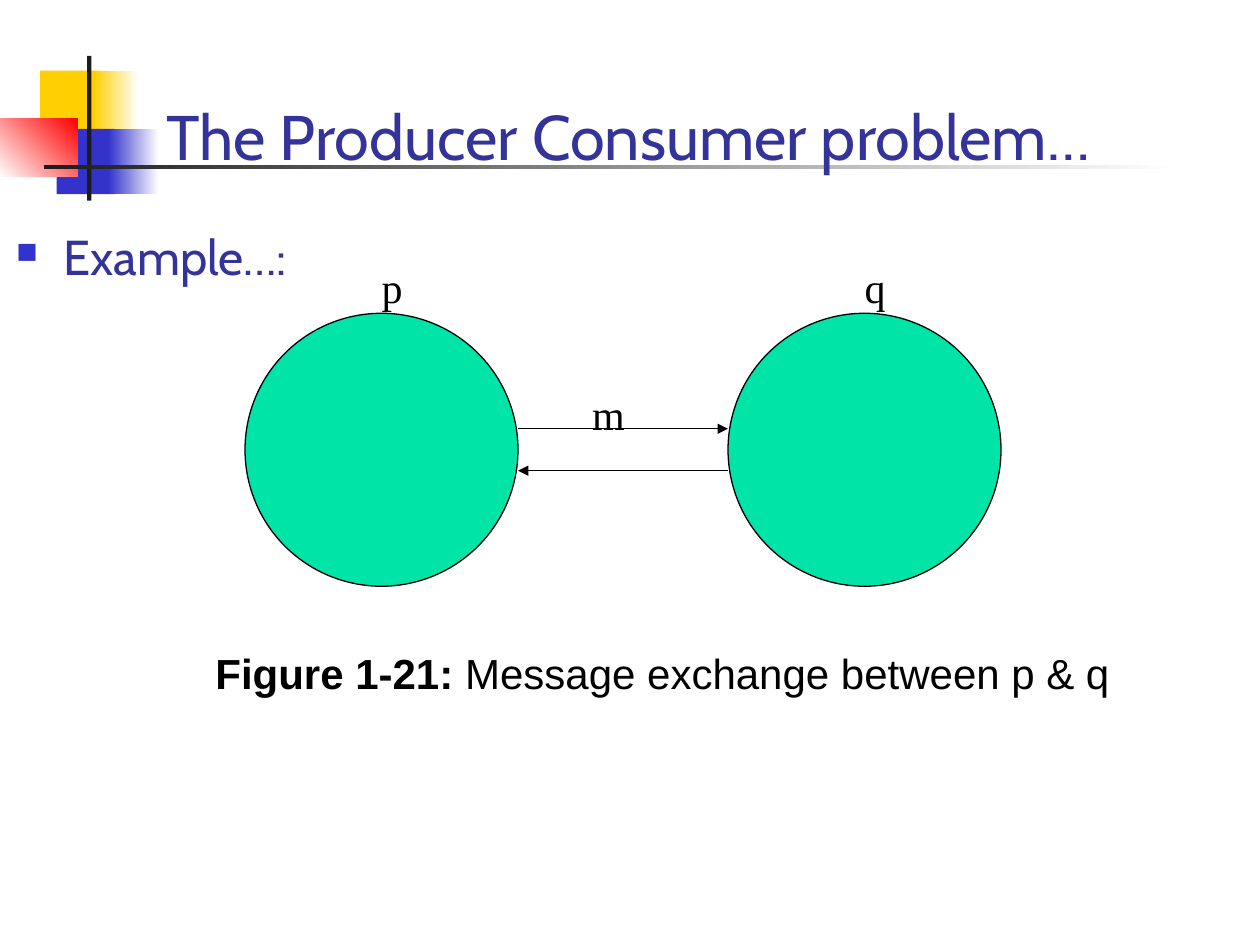
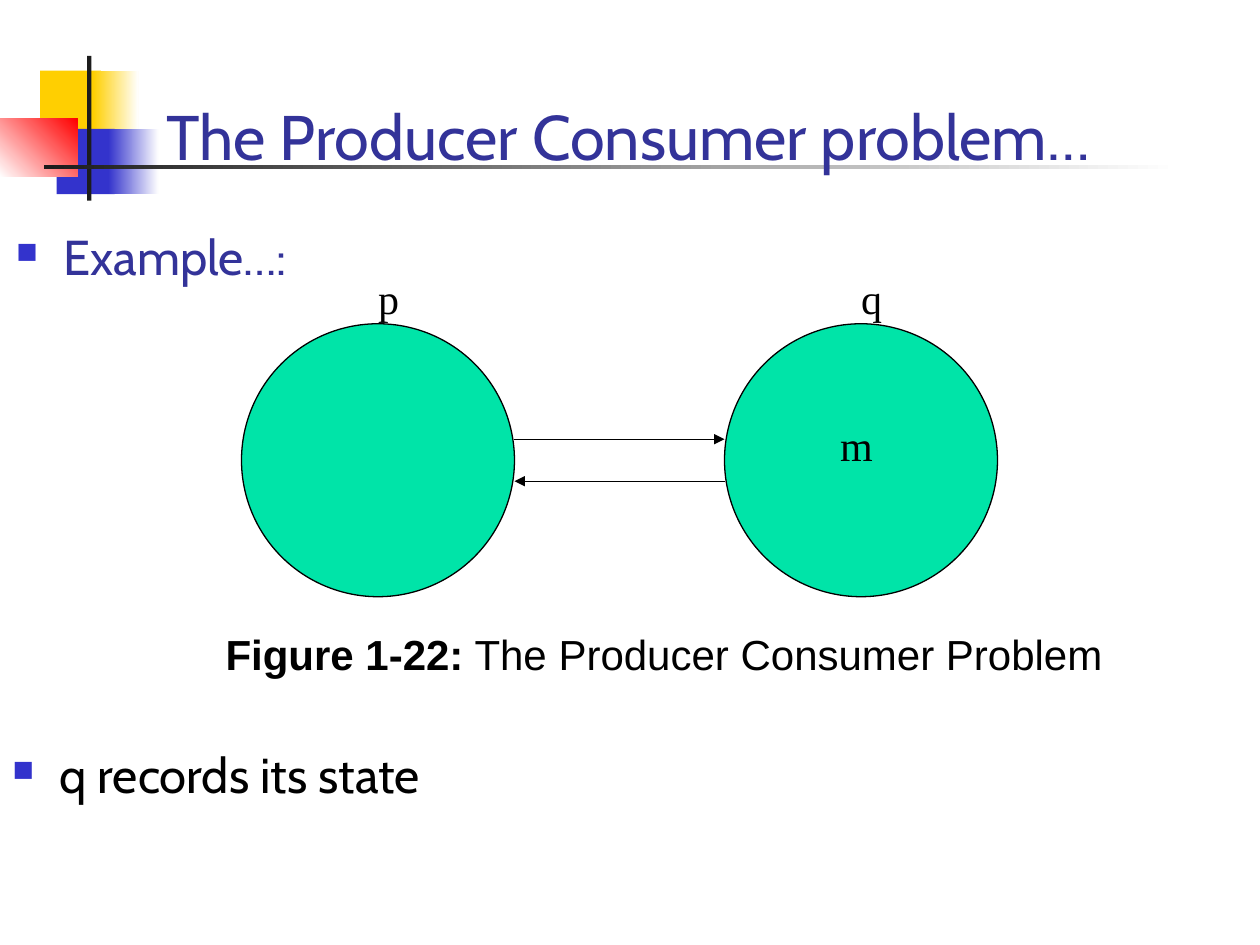
from lxml.etree import SubElement
from pptx import Presentation
from pptx.dml.color import RGBColor
from pptx.enum.shapes import MSO_CONNECTOR as Connector, MSO_SHAPE as Shape
from pptx.enum.text import MSO_ANCHOR as Anchor, MSO_AUTO_SIZE as AutoSize, PP_ALIGN as Align
from pptx.oxml.ns import qn
from pptx.util import Pt

BLACK = RGBColor(0x00, 0x00, 0x00)
WHITE = RGBColor(0xFF, 0xFF, 0xFF)
CHARCOAL = RGBColor(0x1C, 0x1C, 0x1C)
YELLOW = RGBColor(0xFF, 0xCF, 0x01)
RED = RGBColor(0xFF, 0x00, 0x00)
BLUE = RGBColor(0x33, 0x33, 0xCC)
NAVY = RGBColor(0x33, 0x33, 0x99)
GREEN = RGBColor(0x00, 0xE4, 0xA8)

HEADING_FONT, CAPTION_FONT, LABEL_FONT = "Cabin", "Arial", "Times New Roman"
DIAMETER, SPACING = 156, 276
BANDS = [
    (23, 40.4, 34.6, 37.4, (YELLOW,), 0),
    (53.3, 40.4, 25.9, 37.4, (YELLOW, WHITE), 0),
    (32.4, 73.6, 33.1, 37.4, (BLUE,), 0),
    (61.9, 73.6, 28.8, 37.4, (BLUE, WHITE), 0),
    (0, 67.8, 44.4, 33.4, (WHITE, RED), 45),
    (49.8, 31.9, 2.5, 82.8, (CHARCOAL,), 0),
    (25.2, 94.2, 648, 2.4, (CHARCOAL, WHITE), 0),
]


class Lecture:
    """Draws the lecture's pages in one shared style."""

    def __init__(self):
        self.deck = Presentation()
        self.deck.slide_width, self.deck.slide_height = Pt(720), Pt(540)
        self.page = None

    def add_page(self, title):
        self.page = self.deck.slides.add_slide(self.deck.slide_layouts[6])
        for left, top, width, height, colours, angle in BANDS:
            self.band(left, top, width, height, colours, angle)
        self.text(title, 87.8, 36, 613.4, 66.2, HEADING_FONT, 36, NAVY, anchor=Anchor.BOTTOM)

    def shape(self, kind, left, top, width, height):
        shape = self.page.shapes.add_shape(kind, Pt(left), Pt(top), Pt(width), Pt(height))
        shape.shadow.inherit = False
        return shape

    def band(self, left, top, width, height, colours, angle):
        band = self.shape(Shape.RECTANGLE, left, top, width, height)
        band.line.fill.background()
        if len(colours) == 1:
            band.fill.solid()
            band.fill.fore_color.rgb = colours[0]
            return
        band.fill.gradient()
        band.fill.gradient_angle = angle
        for stop, colour in zip(band.fill.gradient_stops, colours):
            stop.color.rgb = colour

    def text(self, words, left, top, width, height, font, size, colour, anchor=Anchor.TOP):
        box = self.page.shapes.add_textbox(Pt(left), Pt(top), Pt(width), Pt(height))
        box.text_frame.word_wrap = True
        box.text_frame.vertical_anchor = anchor
        para = box.text_frame.paragraphs[0]
        para.add_run().text = words
        para.font.name, para.font.size = font, Pt(size)
        para.font.color.rgb = colour
        return box

    def bullet(self, words, left, top, colour):
        box = self.text(words, left, top, 720, 66.6, HEADING_FONT, 28, colour)
        props = box.text_frame.paragraphs[0]._p.get_or_add_pPr()
        props.set("marL", str(Pt(27)))
        props.set("indent", str(-Pt(27)))
        marks = [("buClr", {}), ("buSzPct", {"val": "60000"}), ("buChar", {"char": "■"})]
        for place, (tag, values) in enumerate(marks):
            mark = SubElement(props, qn(f"a:{tag}"), values)
            props.insert(place, mark)
        SubElement(props[0], qn("a:srgbClr"), val=str(BLUE))

    def label(self, words, left, top, width=26):
        frame = self.text(words, left, top, width, 36, LABEL_FONT, 24, BLACK).text_frame
        frame.word_wrap = False
        frame.auto_size = AutoSize.SHAPE_TO_FIT_TEXT
        frame.paragraphs[0].alignment = Align.CENTER

    def process(self, name, left, top):
        circle = self.shape(Shape.OVAL, left, top, DIAMETER, DIAMETER)
        circle.fill.solid()
        circle.fill.fore_color.rgb = GREEN
        circle.line.color.rgb, circle.line.width = BLACK, Pt(0.75)
        self.label(name, left + 71, top - 33)

    def arrow(self, start, end, height):
        arrow = self.page.shapes.add_connector(
            Connector.STRAIGHT, Pt(start), Pt(height), Pt(end), Pt(height))
        arrow.line.color.rgb, arrow.line.width = BLACK, Pt(0.75)
        SubElement(arrow.line._get_or_add_ln(), qn("a:tailEnd"), type="triangle")
        SubElement(arrow._element.spPr, qn("a:effectLst"))

    def exchange(self, left, top, message_left, message_top):
        self.process("p", left, top)
        self.process("q", left + SPACING, top)
        inner_left, inner_right = left + DIAMETER, left + SPACING
        self.arrow(inner_right, inner_left, top + 90)
        self.arrow(inner_left, inner_right, top + 66)
        self.label("m", message_left, message_top, 33)

    def caption(self, number, words, left, top):
        box = self.text(number, left, top, 533.5, 36, CAPTION_FONT, 24, BLACK)
        para = box.text_frame.paragraphs[0]
        para.runs[0].font.bold = True
        span = para.add_run()
        span.text = f" {words}"


def main():
    lecture = Lecture()
    title, example = "The Producer Consumer problem…", "Example…:"

    lecture.add_page(title)
    lecture.exchange(140, 179, 331.2, 218.2)
    lecture.bullet(example, 2.2, 126, NAVY)
    lecture.caption("Figure 1-21:", "Message exchange between p & q", 116, 366.5)

    lecture.add_page(title)
    lecture.bullet("q records its state", 0, 422, BLACK)
    lecture.exchange(138, 185, 473, 236.2)
    lecture.caption("Figure 1-22:", "The Producer Consumer Problem", 121.8, 355.7)
    lecture.bullet(example, 2.2, 126, NAVY)

    lecture.deck.save("out.pptx")


if __name__ == "__main__":
    main()
